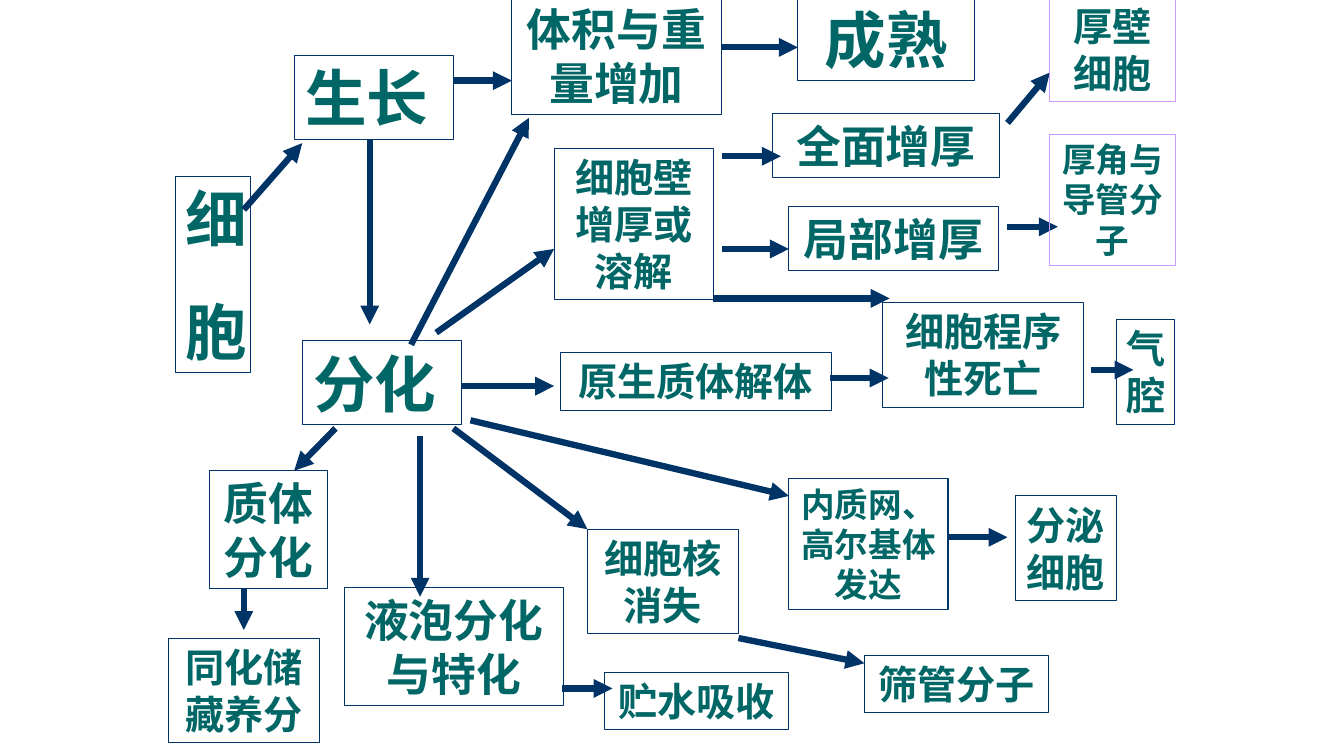
"""Build a one-slide flow chart of plant cell growth and differentiation."""
from dataclasses import dataclass

from lxml.etree import SubElement
from pptx import Presentation
from pptx.dml.color import RGBColor
from pptx.enum.shapes import MSO_CONNECTOR as Connector, MSO_SHAPE as Shape
from pptx.enum.text import MSO_ANCHOR as Anchor, MSO_AUTO_SIZE as AutoSize, PP_ALIGN as Align
from pptx.oxml.ns import qn
from pptx.util import Pt

EMU_PER_PX = 9144


@dataclass(frozen=True)
class Theme:
    """Colours, font and sizes of the chart."""
    font: str = "Arial"
    text: str = "006666"
    line: str = "003366"
    accent: str = "CC99FF"
    huge: int = 44
    large: int = 32
    medium: int = 28
    small: int = 24
    box_line: float = 0.75
    arrow_line: float = 4.5
    space_ratio: float = 0.625


THEME = Theme()

BOXES = [
    ("细\n胞", THEME.huge, (174, 175, 75, 195)),
    ("生长 ", THEME.huge, (292, 55, 158, 83)),
    ("分化 ", THEME.huge, (300, 338, 158, 83)),
    ("成熟", THEME.huge, (792, -3, 175, 83)),
    ("体积与重量增加", THEME.large, (508, -3, 208, 117)),
    ("全面增厚", THEME.large, (767, 113, 225, 63)),
    ("局部增厚", THEME.large, (783, 205, 208, 63)),
    ("质体分化", THEME.large, (208, 467, 117, 117)),
    ("液泡分化与特化", THEME.large, (342, 583, 217, 117)),
    ("细胞壁增厚或溶解", THEME.medium, (550, 147, 158, 150)),
    ("原生质体解体", THEME.medium, (556, 350, 269, 57)),
    ("细胞程序性死亡", THEME.medium, (876, 300, 200, 104)),
    ("细胞核消失", THEME.medium, (583, 525, 150, 104)),
    ("同化储藏养分", THEME.medium, (167, 633, 150, 104)),
    ("贮水吸收", THEME.medium, (600, 667, 183, 57)),
    ("筛管分子", THEME.medium, (858, 650, 183, 57)),
    ("分泌细胞", THEME.medium, (1008, 492, 100, 104)),
    ("气腔", THEME.medium, (1108, 317, 58, 104)),
    ("内质网、高尔基体发达", THEME.small, (783, 475, 158, 130)),
]

ACCENT_BOXES = [
    ("厚壁细胞", THEME.medium, (1042, -3, 125, 104)),
    ("厚角与导管分子", THEME.small, (1042, 133, 125, 130)),
]

ARROWS = [
    (242, 208, 300, 142),
    (367, 138, 367, 322),
    (450, 80, 508, 80),
    (717, 47, 792, 47),
    (408, 342, 525, 117),
    (433, 330, 550, 247),
    (458, 383, 550, 383),
    (333, 425, 292, 467),
    (417, 433, 417, 592),
    (450, 425, 583, 525),
    (467, 417, 783, 492),
    (717, 155, 775, 155),
    (717, 247, 783, 247),
    (708, 296, 883, 296),
    (824, 375, 882, 375),
    (1000, 122, 1042, 72),
    (1000, 225, 1050, 225),
    (1083, 367, 1125, 367),
    (942, 533, 1000, 533),
    (733, 633, 858, 658),
    (558, 683, 608, 683),
    (242, 583, 242, 625),
]


def px(*lengths):
    """Turn pixel lengths into EMU."""
    return [length * EMU_PER_PX for length in lengths]


def write_text(frame, text, *, size, color, font, space_ratio, bold=True, align=Align.CENTER):
    """Write each line of the text as a formatted paragraph."""
    for index, line in enumerate(text.split("\n")):
        paragraph = frame.add_paragraph() if index else frame.paragraphs[0]
        paragraph.alignment = align
        paragraph.space_before = Pt(size * space_ratio if index else 0)
        run = paragraph.add_run()
        run.text = line
        run.font.name = font
        run.font.size = Pt(size)
        run.font.bold = bold
        run.font.color.rgb = RGBColor.from_string(color)


class FlowChart:
    """Draw boxes and arrows on one slide in one style."""

    def __init__(self, slide, theme):
        """Keep the slide and the theme."""
        self.slide = slide
        self.theme = theme

    def box(self, text, size, bounds, line_color):
        """Add an outlined box with centred text."""
        shape = self.slide.shapes.add_shape(Shape.RECTANGLE, *px(*bounds))
        shape.shadow.inherit = False
        shape.fill.background()
        shape.line.color.rgb = RGBColor.from_string(line_color)
        shape.line.width = Pt(self.theme.box_line)
        frame = shape.text_frame
        frame.word_wrap = True
        frame.auto_size = AutoSize.SHAPE_TO_FIT_TEXT
        frame.vertical_anchor = Anchor.TOP
        write_text(frame, text, size=size, color=self.theme.text,
                   font=self.theme.font, space_ratio=self.theme.space_ratio)

    def arrow(self, *ends):
        """Add a thick arrow from the first point to the second."""
        connector = self.slide.shapes.add_connector(Connector.STRAIGHT, *px(*ends))
        connector.line.color.rgb = RGBColor.from_string(self.theme.line)
        connector.line.width = Pt(self.theme.arrow_line)
        properties = connector.element.spPr
        SubElement(properties.find(qn("a:ln")), qn("a:tailEnd"), type="triangle")
        SubElement(properties, qn("a:effectLst"))


def main():
    """Build and save the presentation."""
    presentation = Presentation()
    presentation.slide_width, presentation.slide_height = px(1334, 750)
    slide = presentation.slides.add_slide(presentation.slide_layouts[6])
    chart = FlowChart(slide, THEME)
    for box in BOXES:
        chart.box(*box, THEME.line)
    for ends in ARROWS:
        chart.arrow(*ends)
    for box in ACCENT_BOXES:
        chart.box(*box, THEME.accent)
    presentation.save("out.pptx")


if __name__ == "__main__":
    main()
